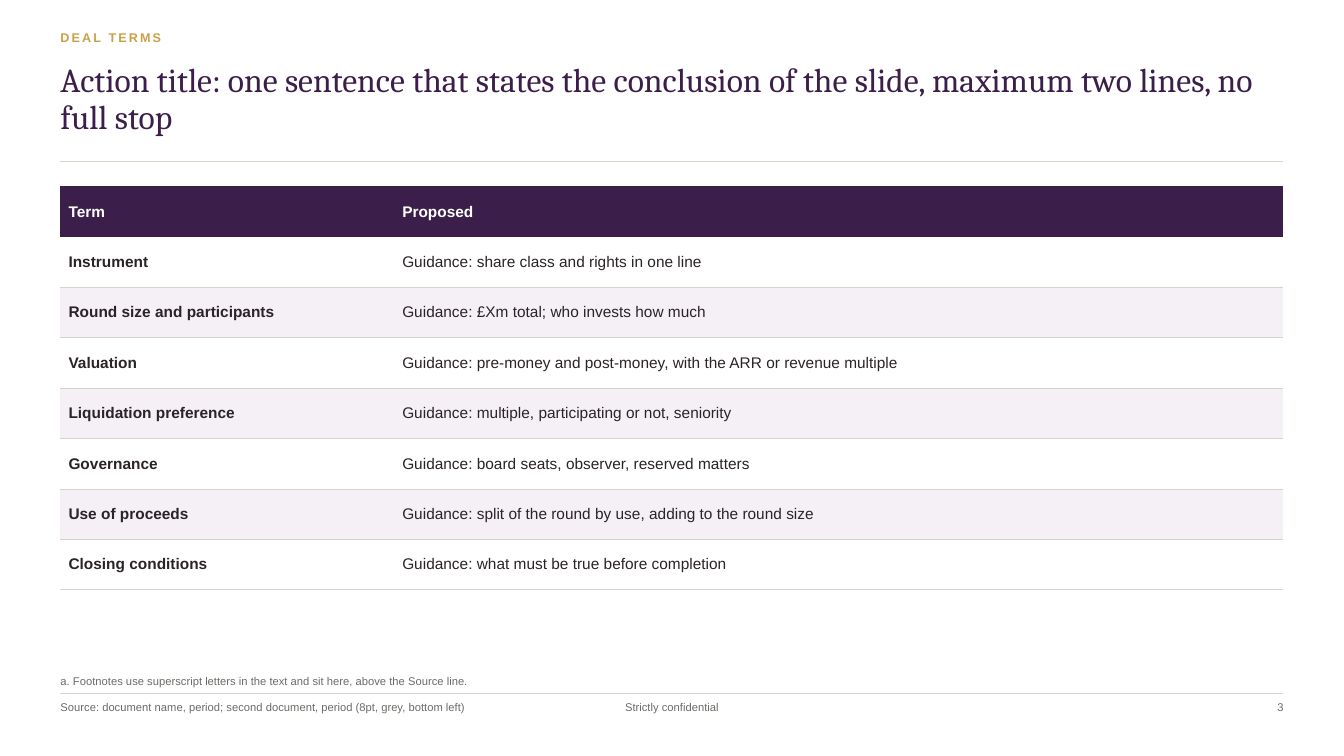
from lxml import etree
from pptx import Presentation
from pptx.dml.color import RGBColor
from pptx.enum.shapes import MSO_CONNECTOR
from pptx.enum.text import MSO_ANCHOR, PP_ALIGN
from pptx.oxml.ns import qn
from pptx.util import Pt

LINE = MSO_CONNECTOR.STRAIGHT
TOP, MID, LOW = MSO_ANCHOR.TOP, MSO_ANCHOR.MIDDLE, MSO_ANCHOR.BOTTOM
LEFT, CENTER, RIGHT = PP_ALIGN.LEFT, PP_ALIGN.CENTER, PP_ALIGN.RIGHT

COLORS = {"plum": "3B1F4A", "gold": "C8A24A", "rule": "D8D2CA", "ink": "2A2328",
          "grey": "6E6A66", "band": "F4F0F6", "white": "FFFFFF"}
FORMATS = {
    "tag": {"name": "Arial", "size": Pt(9), "bold": True, "color": "gold"},
    "title": {"name": "Cambria", "size": Pt(24), "bold": False, "color": "plum"},
    "head": {"name": "Arial", "size": Pt(11), "bold": True, "color": "white"},
    "term": {"name": "Arial", "size": Pt(11), "bold": True, "color": "ink"},
    "body": {"name": "Arial", "size": Pt(11), "bold": False, "color": "ink"},
    "note": {"name": "Arial", "size": Pt(8), "bold": False, "color": "grey"},
}
NO_STYLE = "{2D5ABB26-0587-4C30-8999-92F81FD0307C}"

TERMS = [
    ("Term", "Proposed"),
    ("Instrument", "Guidance: share class and rights in one line"),
    ("Round size and participants", "Guidance: £Xm total; who invests how much"),
    ("Valuation", "Guidance: pre-money and post-money, with the ARR or revenue multiple"),
    ("Liquidation preference", "Guidance: multiple, participating or not, seniority"),
    ("Governance", "Guidance: board seats, observer, reserved matters"),
    ("Use of proceeds", "Guidance: split of the round by use, adding to the round size"),
    ("Closing conditions", "Guidance: what must be true before completion"),
]


def rgb(name):
    return RGBColor.from_string(COLORS[name])


def style(font, kind):
    for key, value in FORMATS[kind].items():
        if key == "color":
            font.color.rgb = rgb(value)
        else:
            setattr(font, key, value)


def add_text(slide, box, text, kind, align=LEFT, anchor=TOP):
    """Place one unpadded paragraph in box and return it."""
    frame = slide.shapes.add_textbox(*map(Pt, box)).text_frame
    frame.word_wrap = True
    frame.vertical_anchor = anchor
    for side in ("left", "top", "right", "bottom"):
        setattr(frame, f"margin_{side}", 0)
    para = frame.paragraphs[0]
    para.alignment = align
    run = para.add_run()
    run.text = text
    style(run.font, kind)
    return para


def add_rule(slide, x, y, width, weight):
    rule = slide.shapes.add_connector(LINE, Pt(x), Pt(y), Pt(x + width), Pt(y))
    rule.line.color.rgb = rgb("rule")
    rule.line.width = Pt(weight)
    etree.SubElement(rule._element.spPr, qn("a:effectLst"))


def underline(cell):
    """Give the cell a thin bottom border."""
    edge = etree.Element(qn("a:lnB"), w=str(Pt(0.5)))
    fill = etree.SubElement(edge, qn("a:solidFill"))
    etree.SubElement(fill, qn("a:srgbClr"), val=COLORS["rule"])
    cell._tc.get_or_add_tcPr().insert(0, edge)


def add_header(slide, box, tag, title):
    x, y, width, height = box
    para = add_text(slide, (x, y, 504, 18), tag, "tag")
    para.runs[0].font._element.set("spc", "150")
    para = add_text(slide, (x, y + 23, width, 64.8), title, "title")
    para.line_spacing = 0.92
    add_rule(slide, x, y + height, width, 0.75)


def add_terms(slide, box, rows):
    x, y, width, height = box
    table = slide.shapes.add_table(len(rows), 2, *map(Pt, box)).table
    table._tbl.tblPr.find(qn("a:tableStyleId")).text = NO_STYLE
    table.horz_banding = False
    first = 238.4
    table.columns[0].width = Pt(first)
    table.columns[1].width = Pt(width - first)
    for r, row in enumerate(rows):
        table.rows[r].height = Pt(height / len(rows))
        for c, text in enumerate(row):
            cell = table.cell(r, c)
            cell.vertical_anchor = MID
            cell.margin_left = cell.margin_right = Pt(5.76)
            cell.margin_top = cell.margin_bottom = Pt(2.88)
            run = cell.text_frame.paragraphs[0].add_run()
            run.text = text
            style(run.font, "head" if r == 0 else ("term", "body")[c])
            if r and r % 2:
                cell.fill.background()
            else:
                cell.fill.solid()
                cell.fill.fore_color.rgb = rgb("band" if r else "plum")
            if r:
                underline(cell)


def add_footer(slide, box, note, source, label, page):
    x, y, width, height = box
    add_text(slide, (x, y, width, 28.8), note, "note", anchor=LOW)
    add_rule(slide, x, y + 33.1, width, 0.5)
    base = y + height - 28.8
    add_text(slide, (x, base, 360, 28.8), source, "note")
    add_text(slide, (x + (width - 144) / 2, base, 144, 18), label, "note", CENTER)
    add_text(slide, (x + width - 72, base, 72, 18), page, "note", RIGHT)


def main():
    deck = Presentation()
    deck.slide_width, deck.slide_height = Pt(960), Pt(540)
    slide = deck.slides.add_slide(deck.slide_layouts[6])
    x, width = 43.2, 873.6
    add_header(slide, (x, 21.6, width, 93.6), "DEAL TERMS",
               "Action title: one sentence that states the conclusion of the slide, "
               "maximum two lines, no full stop")
    add_terms(slide, (x, 133.2, width, 288), TERMS)
    add_footer(slide, (x, 462.2, width, 67),
               "a. Footnotes use superscript letters in the text and sit here, "
               "above the Source line.",
               "Source: document name, period; second document, period "
               "(8pt, grey, bottom left)",
               "Strictly confidential", "3")
    deck.save("out.pptx")


if __name__ == "__main__":
    main()
